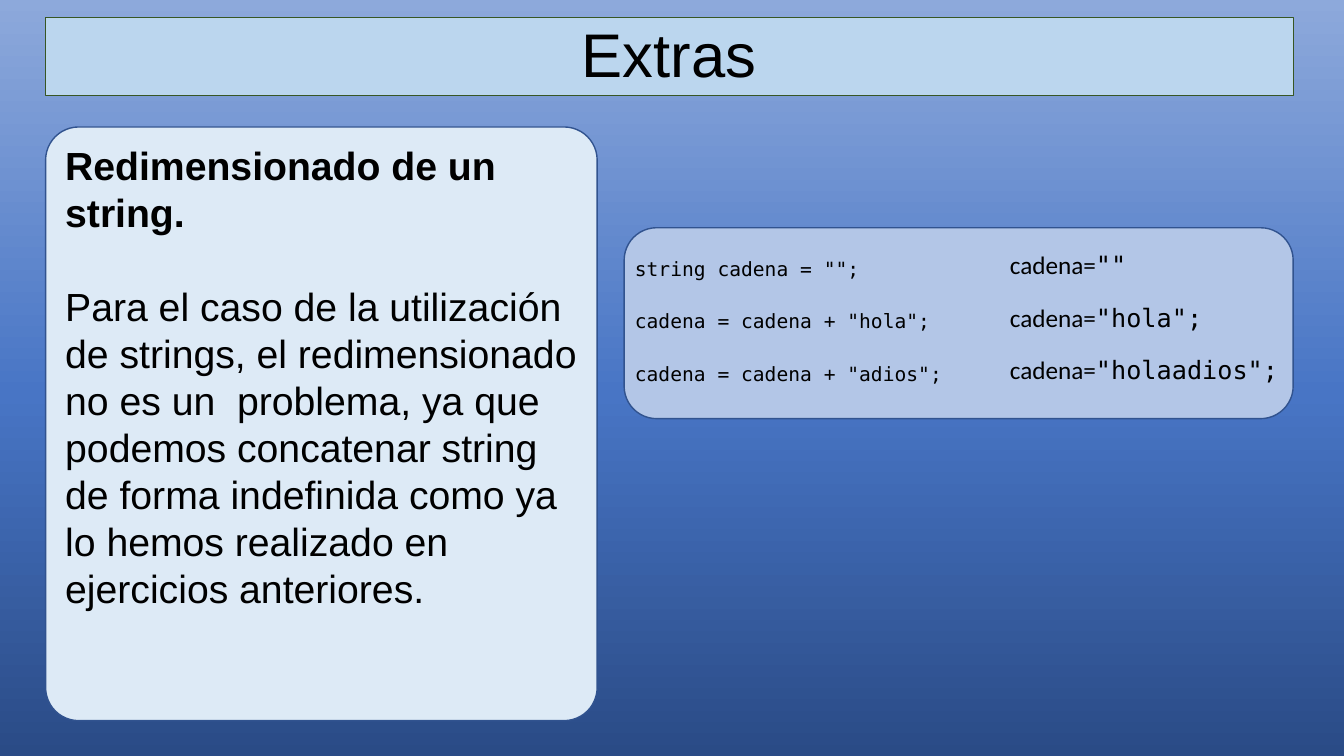
import copy
from dataclasses import dataclass

import pptx
import pptx.dml.color
import pptx.enum.shapes
import pptx.enum.text
import pptx.util

Cm = pptx.util.Cm
Pt = pptx.util.Pt
RGB = pptx.dml.color.RGBColor
SHAPE = pptx.enum.shapes.MSO_SHAPE
ALIGN = pptx.enum.text.PP_ALIGN
ANCHOR = pptx.enum.text.MSO_ANCHOR
AUTO = pptx.enum.text.MSO_AUTO_SIZE

BLACK = RGB(0x00, 0x00, 0x00)
TITLE_FILL = RGB(0xBB, 0xD6, 0xEE)
TITLE_LINE = RGB(0x38, 0x56, 0x23)
BODY_FILL = RGB(0xDD, 0xEA, 0xF6)
CODE_FILL = RGB(0xB3, 0xC6, 0xE7)
PANEL_LINE = RGB(0x31, 0x53, 0x8F)
GRADIENT = [
    (0, RGB(0x2A, 0x4B, 0x86)),
    (0.48, RGB(0x48, 0x75, 0xC5)),
    (1, RGB(0x8D, 0xA9, 0xDB)),
]

HEADING = {"name": "Arial", "size": Pt(44), "bold": False}
BODY = {"name": "Arial", "size": Pt(28), "bold": False}
BODY_BOLD = {**BODY, "bold": True}
CODE = {"name": "DejaVu Sans Mono", "size": Pt(14)}
LABEL = {"name": "Calibri", "size": Pt(18)}
VALUE = {"name": "DejaVu Sans Mono", "size": Pt(18)}


@dataclass
class Box:
    left: float
    top: float
    width: float
    height: float

    def lengths(self) -> list:
        return [Cm(v) for v in (self.left, self.top, self.width, self.height)]


@dataclass
class Panel:
    box: Box
    fill: RGB
    radius: float


@dataclass
class Step:
    code: str
    code_width: float
    value: str
    value_width: float


BODY_PANEL = Panel(Box(1.15, 3.2, 13.9, 14.96), BODY_FILL, 0.06)
CODE_PANEL = Panel(Box(15.73, 5.74, 16.86, 4.81), CODE_FILL, 0.17)
STEPS = [
    Step('string cadena = "";', 6.17, '""', 3.48),
    Step('cadena = cadena + "hola";', 7.98, '"hola";', 5.38),
    Step('cadena = cadena + "adios";', 8.28, '"holaadios";', 7.32),
]
CODE_LEFT, VALUE_LEFT = 15.75, 25.2
CODE_TOP, VALUE_TOP, STEP_HEIGHT = 6.35, 6.17, 1.32


def paint(sp, fill: RGB, line: RGB, width: float) -> None:
    sp.fill.solid()
    sp.fill.fore_color.rgb = fill
    sp.line.color.rgb = line
    sp.line.width = Pt(width)


def add_run(p, text: str, style: dict) -> None:
    r = p.add_run()
    r.text = text
    for name, value in style.items():
        setattr(r.font, name, value)
    r.font.color.rgb = BLACK


def add_panel(shapes, panel: Panel):
    sp = shapes.add_shape(SHAPE.ROUNDED_RECTANGLE, *panel.box.lengths())
    sp.adjustments[0] = panel.radius
    sp.shadow.inherit = False
    paint(sp, panel.fill, PANEL_LINE, 1)
    return sp


def add_label(shapes, box: Box, parts: list) -> None:
    tf = shapes.add_textbox(*box.lengths()).text_frame
    tf.word_wrap = False
    tf.auto_size = AUTO.SHAPE_TO_FIT_TEXT
    for text, style in parts:
        add_run(tf.paragraphs[0], text, style)


def set_background(s) -> None:
    fill = s.background.fill
    fill.gradient()
    fill.gradient_angle = 90
    stops = s.element.xpath(".//a:gsLst")[0]
    stops.append(copy.deepcopy(stops[0]))
    for stop, (position, color) in zip(fill.gradient_stops, GRADIENT):
        stop.position = position
        stop.color.rgb = color


def set_title(s, text: str) -> None:
    sp = s.shapes.title
    sp.left, sp.top, sp.width, sp.height = Box(1.14, 0.43, 31.45, 1.98).lengths()
    paint(sp, TITLE_FILL, TITLE_LINE, 0.75)
    tf = sp.text_frame
    tf.vertical_anchor = ANCHOR.BOTTOM
    tf.auto_size = AUTO.NONE
    p = tf.paragraphs[0]
    p.alignment = ALIGN.CENTER
    p.line_spacing = 0.9
    add_run(p, text, HEADING)


def add_explanation(s) -> None:
    tf = add_panel(s.shapes, BODY_PANEL).text_frame
    tf.word_wrap = True
    tf.vertical_anchor = ANCHOR.TOP
    p = tf.paragraphs[0]
    p.space_after = Pt(33)
    add_run(p, "Redimensionado de un string.", BODY_BOLD)
    add_run(
        tf.add_paragraph(),
        "Para el caso de la utilización de strings, el redimensionado "
        "no es un  problema, ya que podemos concatenar string de forma "
        "indefinida como ya lo hemos realizado en ejercicios anteriores.",
        BODY,
    )
    for p in tf.paragraphs:
        p.alignment = ALIGN.LEFT


def add_code(s) -> None:
    shapes = s.shapes.add_group_shape().shapes
    add_panel(shapes, CODE_PANEL)
    for i, step in enumerate(STEPS):
        drop = i * STEP_HEIGHT
        code_box = Box(CODE_LEFT, CODE_TOP + drop, step.code_width, 0.86)
        value_box = Box(VALUE_LEFT, VALUE_TOP + drop, step.value_width, 1.02)
        add_label(shapes, code_box, [(step.code, CODE)])
        add_label(shapes, value_box, [("cadena=", LABEL), (step.value, VALUE)])


def main() -> None:
    prs = pptx.Presentation()
    prs.slide_width, prs.slide_height = Cm(33.87), Cm(19.05)
    s = prs.slides.add_slide(prs.slide_layouts[5])
    set_background(s)
    set_title(s, "Extras")
    add_explanation(s)
    add_code(s)
    prs.save("out.pptx")


if __name__ == "__main__":
    main()
